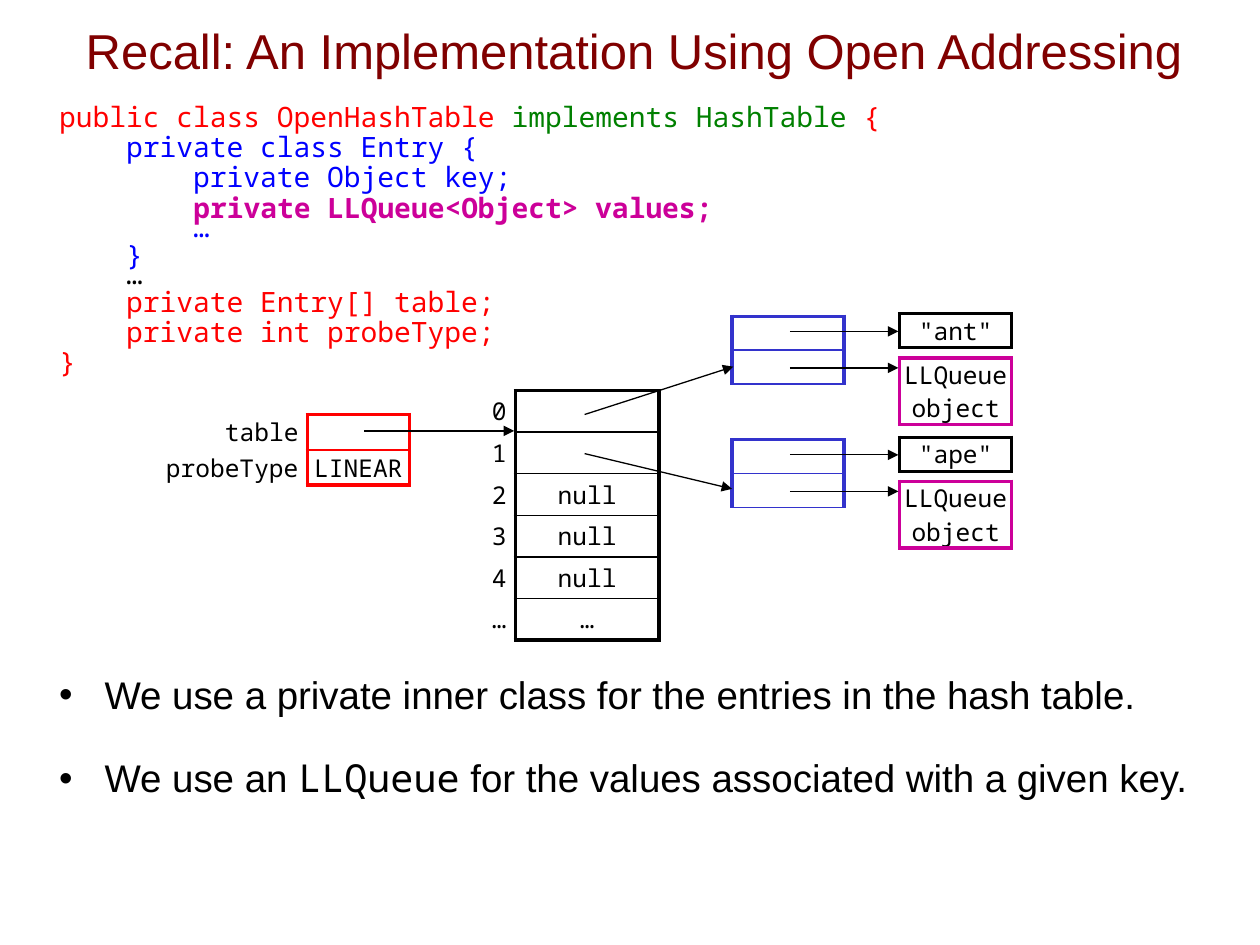
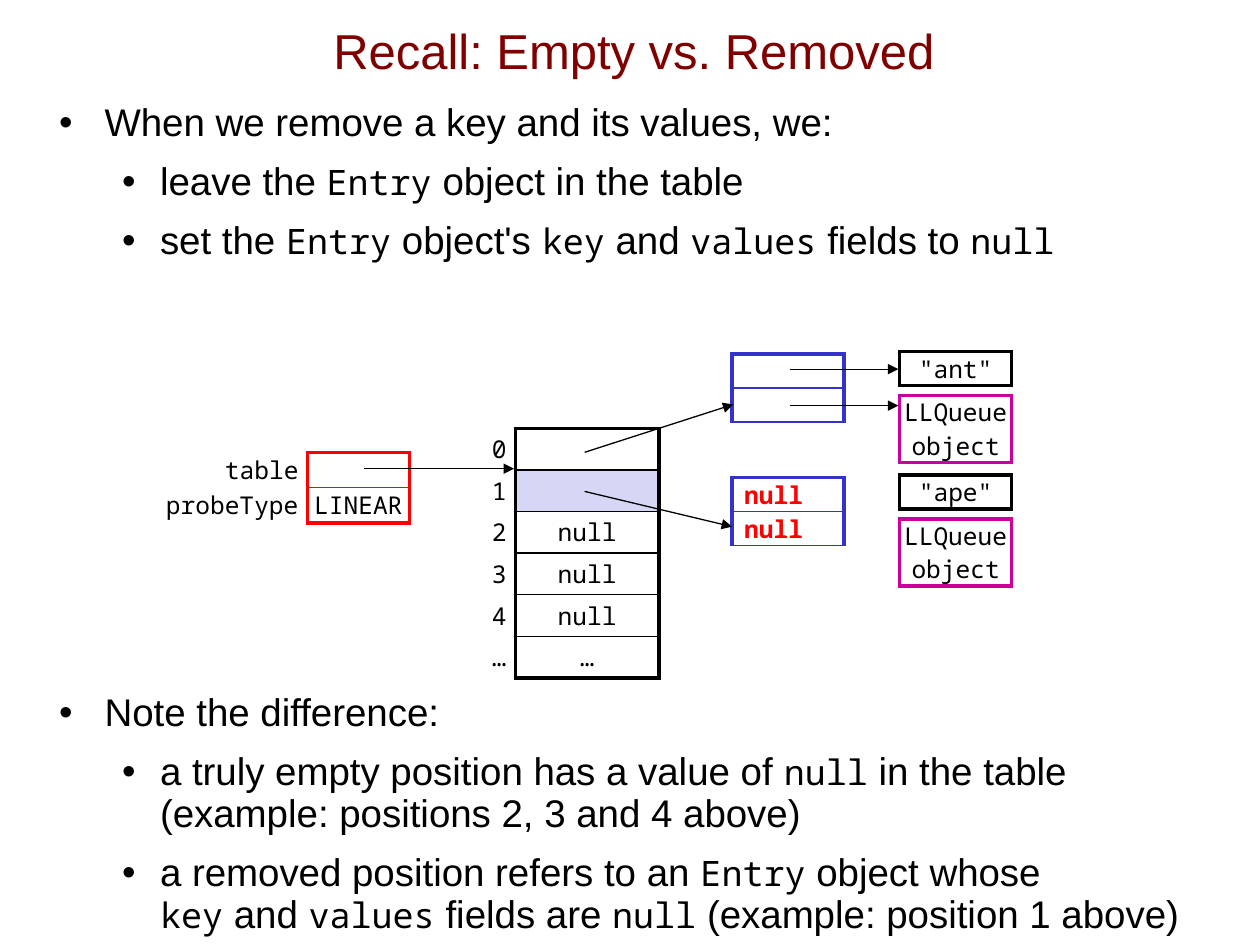
from dataclasses import dataclass
from typing import NamedTuple, Optional

import pptx
import pptx.dml.color
import pptx.enum.shapes
import pptx.enum.text
import pptx.oxml.ns
import pptx.util
from lxml import etree
from pptx.util import Inches

# Shared look
COLORS = {
    "title": "800000", "text": "000000", "red": "FF0000", "green": "008000",
    "blue": "0000FF", "magenta": "CC0099", "entry": "3333CC", "removed": "D6D6F5",
}
SANS, MONO = "Arial", "Noto Sans Mono"
NO_GRID_STYLE = "{2D5ABB26-0587-4C30-8999-92F81FD0307C}"
THICK, THIN = 2.25, 1
ALIGN = pptx.enum.text.PP_ALIGN
MIDDLE = pptx.enum.text.MSO_ANCHOR.MIDDLE
qn = pptx.oxml.ns.qn


class Span(NamedTuple):
    text: str
    color: str = "text"
    font: str = MONO
    size: float = 16
    bold: bool = False


@dataclass
class Line:
    """One paragraph of the body; level None marks a line of code."""
    spans: list[Span]
    level: Optional[int] = None
    before: float = 0
    spacing: float = 0.9


@dataclass
class Grid:
    """A table of boxes, with an optional column of labels to its left."""
    left: float
    top: float
    rows: list[str]
    row_height: float
    width: float = 0.89
    color: str = "text"
    bottom: float = THICK
    labels: Optional[list[str]] = None
    label_width: float = 0
    text_color: str = "text"
    bold: bool = False
    right_margin: float = 0
    shaded_row: Optional[int] = None


class Arrow(NamedTuple):
    x1: float
    y1: float
    x2: float
    y2: float


def rgb(name: str) -> pptx.dml.color.RGBColor:
    return pptx.dml.color.RGBColor.from_string(COLORS[name])


def style(span, look: Span) -> None:
    span.font.name = look.font
    span.font.size = pptx.util.Pt(look.size)
    span.font.bold = look.bold
    span.font.color.rgb = rgb(look.color)


# Titles and body text
def place(shape, left: float, top: float, width: float, height: float) -> None:
    shape.left, shape.top = Inches(left), Inches(top)
    shape.width, shape.height = Inches(width), Inches(height)
    shape.text_frame.word_wrap = True
    shape.text_frame.auto_size = pptx.enum.text.MSO_AUTO_SIZE.NONE


def write_line(para, line: Line) -> None:
    margin, hang = (0.8, 0.3) if line.level == 1 else (0.36, 0.36)
    para.level = line.level or 0
    para.alignment = ALIGN.LEFT
    para.line_spacing = line.spacing
    para.space_before = pptx.util.Pt(line.before)
    para.space_after = pptx.util.Pt(0)
    props = para._p.get_or_add_pPr()
    props.set("marL", str(Inches(margin)))
    props.set("indent", str(-Inches(hang)))
    if line.level is None:
        etree.SubElement(props, qn("a:buNone"))
    else:
        etree.SubElement(props, qn("a:buFont")).set("typeface", SANS)
        etree.SubElement(props, qn("a:buChar")).set("char", "•")
    for look in line.spans:
        for number, text in enumerate(look.text.split("\n")):
            if number:
                para.add_line_break()
            if text:
                span = para.add_run()
                span.text = text
                style(span, look)


def bullet(text: str, level: int = 0, before: float = 10, code_size: float = 20) -> Line:
    """Make a bullet; words between backticks are set as code."""
    spans = [Span(part, font=MONO, size=code_size) if number % 2
             else Span(part, font=SANS, size=22)
             for number, part in enumerate(text.split("`")) if part]
    return Line(spans, level, before)


def add_page(deck, title: str, lines: list[Line]):
    page = deck.slides.add_slide(deck.slide_layouts[1])
    heading, body = page.placeholders
    place(heading, 0.28, -0.07, 9.5, 0.93)
    heading.text_frame.text = title
    heading.text_frame.vertical_anchor = MIDDLE
    para = heading.text_frame.paragraphs[0]
    para.alignment = ALIGN.CENTER
    style(para.runs[0], Span(title, "title", SANS, 28))

    place(body, 0.37, 0.77, 9.63, 6.14)
    for number, line in enumerate(lines):
        frame = body.text_frame
        write_line(frame.add_paragraph() if number else frame.paragraphs[0], line)
    return page


# Diagram parts
def set_border(cell, side: str, color: str, width: float) -> None:
    border = etree.SubElement(cell._tc.get_or_add_tcPr(), qn(f"a:ln{side}"))
    border.set("w", str(pptx.util.Pt(width)))
    fill = etree.SubElement(border, qn("a:solidFill"))
    etree.SubElement(fill, qn("a:srgbClr")).set("val", COLORS[color])


def fill_cell(cell, text: str, look: Span, alignment, right: float) -> None:
    cell.margin_left = cell.margin_top = cell.margin_bottom = 0
    cell.margin_right = Inches(right)
    cell.vertical_anchor = MIDDLE
    cell.text_frame.text = text
    para = cell.text_frame.paragraphs[0]
    para.alignment = alignment
    for span in para.runs:
        style(span, look)
    if not text:
        para._p.get_or_add_endParaRPr().set("sz", str(look.size * 100))


def draw_grid(page, grid: Grid, shift: float) -> None:
    count = len(grid.rows)
    widths = ([grid.label_width] if grid.labels else []) + [grid.width]
    table = page.shapes.add_table(
        count, len(widths), Inches(grid.left), Inches(grid.top + shift),
        Inches(sum(widths)), Inches(grid.row_height * count)).table
    table.first_row = table.horz_banding = False
    table._tbl.tblPr.find(qn("a:tableStyleId")).text = NO_GRID_STYLE
    for column, width in zip(table.columns, widths):
        column.width = Inches(width)
    for row, text in enumerate(grid.rows):
        table.rows[row].height = Inches(grid.row_height)
        if grid.labels:
            label = table.cell(row, 0)
            fill_cell(label, grid.labels[row], Span("", size=14), ALIGN.RIGHT, 0.07)
            set_border(label, "R", grid.color, THICK)
            label.fill.background()
        box = table.cell(row, len(widths) - 1)
        look = Span("", grid.text_color, size=14, bold=grid.bold)
        fill_cell(box, text, look, ALIGN.CENTER, grid.right_margin)
        for side, width in (("L", THICK), ("R", THICK), ("T", THIN if row else THICK),
                            ("B", THIN if row < count - 1 else grid.bottom)):
            set_border(box, side, grid.color, width)
        if row == grid.shaded_row:
            box.fill.solid()
            box.fill.fore_color.rgb = rgb("removed")
        else:
            box.fill.background()


def draw_arrow(page, arrow: Arrow, shift: float) -> None:
    line = page.shapes.add_connector(
        pptx.enum.shapes.MSO_CONNECTOR.STRAIGHT,
        Inches(arrow.x1), Inches(arrow.y1 + shift),
        Inches(arrow.x2), Inches(arrow.y2 + shift))
    line.line.color.rgb = rgb("text")
    line.line.width = pptx.util.Pt(0.75)
    head = etree.SubElement(line.line._get_or_add_ln(), qn("a:tailEnd"))
    head.set("type", "triangle")
    etree.SubElement(line._element.spPr, qn("a:effectLst"))


def draw_hash_table(page, shift: float = 0, removed: bool = False) -> None:
    """Draw the table object, its array and two entries; removed clears entry 1."""
    grids = [
        Grid(2.94, 3.1, ["", "", "null", "null", "null", "…"], 0.33, 1.14,
             labels=["0", "1", "2", "3", "4", "…"], label_width=1.15,
             shaded_row=1 if removed else None),
        Grid(1.08, 3.29, ["", "LINEAR"], 0.28, 0.81, "red",
             labels=["table", "probeType"], label_width=1.36),
    ]
    arrows = [Arrow(2.89, 3.42, 4.08, 3.42),
              Arrow(4.64, 3.29, 5.82, 2.91), Arrow(4.64, 3.6, 5.81, 3.88)]
    for key, top, cleared in (('"ant"', 2.5, False), ('"ape"', 3.48, removed)):
        grids += [
            Grid(5.81, top + 0.01, ["null" if cleared else ""] * 2, 0.27,
                 color="entry", bottom=THIN, text_color="red", bold=True,
                 right_margin=0.23),
            Grid(7.14, top - 0.01, [key], 0.27),
            Grid(7.14, top + 0.34, ["LLQueue\vobject"], 0.5, color="magenta"),
        ]
        if not cleared:
            arrows += [Arrow(6.27, top + y, 7.13, top + y) for y in (0.13, 0.42)]
    for grid in grids:
        draw_grid(page, grid, shift)
    for arrow in arrows:
        draw_arrow(page, arrow, shift)


# Slide content
CODE = [
    Line([Span("public class OpenHashTable ", "red"),
          Span("implements HashTable", "green"), Span(" {", "red")]),
    Line([Span("    private class Entry {", "blue")]),
    Line([Span("        private Object key;", "blue")]),
    Line([Span("        "), Span("private LLQueue<Object> values;", "magenta", bold=True)]),
    Line([Span("        …", "blue")], spacing=0.5),
    Line([Span("    }", "blue")]),
    Line([Span("    …")], spacing=0.5),
    Line([Span("    private Entry[] table;", "red")]),
    Line([Span("    private int probeType;", "red")]),
    Line([Span("}", "red")]),
]
INNER_CLASS = [
    bullet("We use a private inner class for the entries in the hash table.", before=170),
    bullet("We use an `LLQueue` for the values associated with a given key.",
           before=24, code_size=22),
]
REMOVAL = [
    bullet("When we remove a key and its values, we:", before=0),
    bullet("leave the `Entry` object in the table", 1),
    bullet("set the `Entry` object's `key` and `values` fields to `null`", 1),
    bullet("Note the difference:", before=246),
    bullet("a truly empty position has a value of `null` in the table\n"
           "(example: positions 2, 3 and 4 above)", 1),
    bullet("a removed position refers to an `Entry` object whose\n"
           "`key` and `values` fields are `null` (example: position 1 above)", 1),
]


def main() -> None:
    deck = pptx.Presentation()
    deck.slide_width, deck.slide_height = Inches(10), Inches(7.5)
    page = add_page(deck, "Recall: An Implementation Using Open Addressing",
                    CODE + INNER_CLASS)
    draw_hash_table(page)
    page = add_page(deck, "Recall: Empty vs. Removed", REMOVAL)
    draw_hash_table(page, shift=0.3, removed=True)
    deck.save("out.pptx")


if __name__ == "__main__":
    main()
